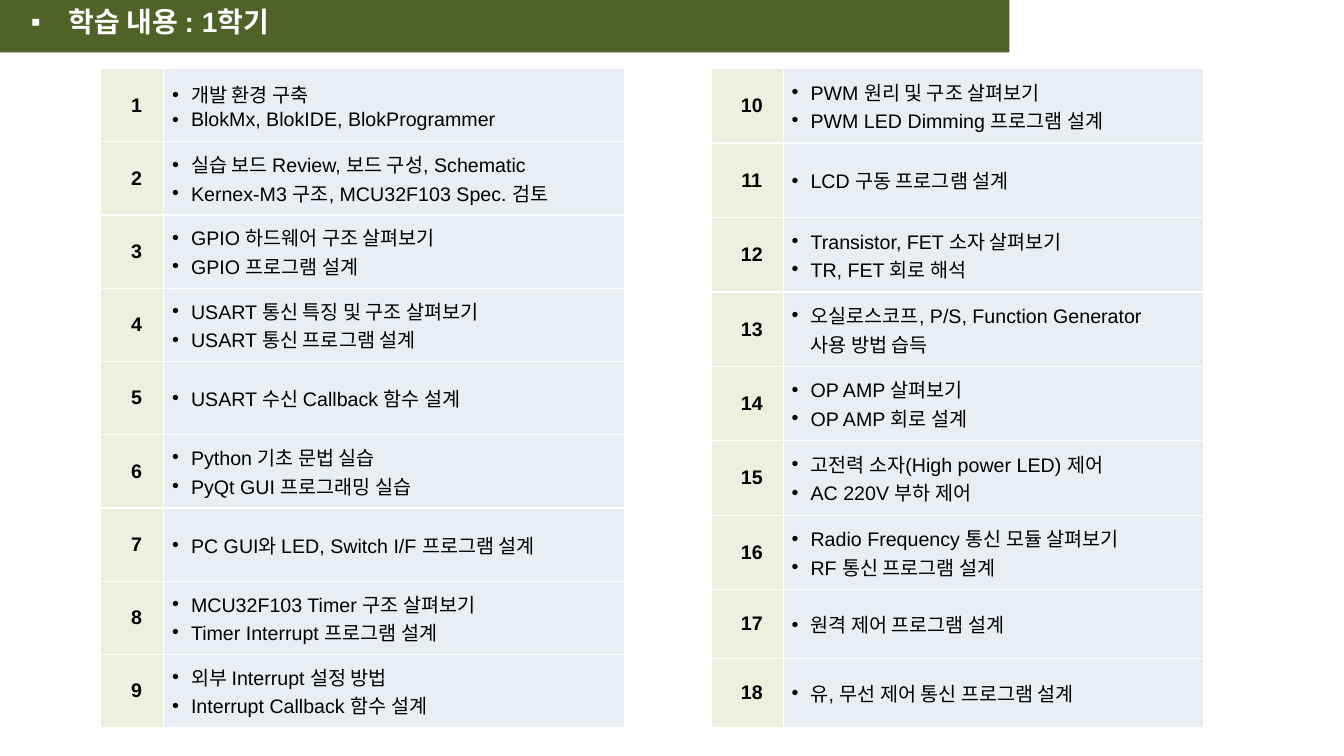
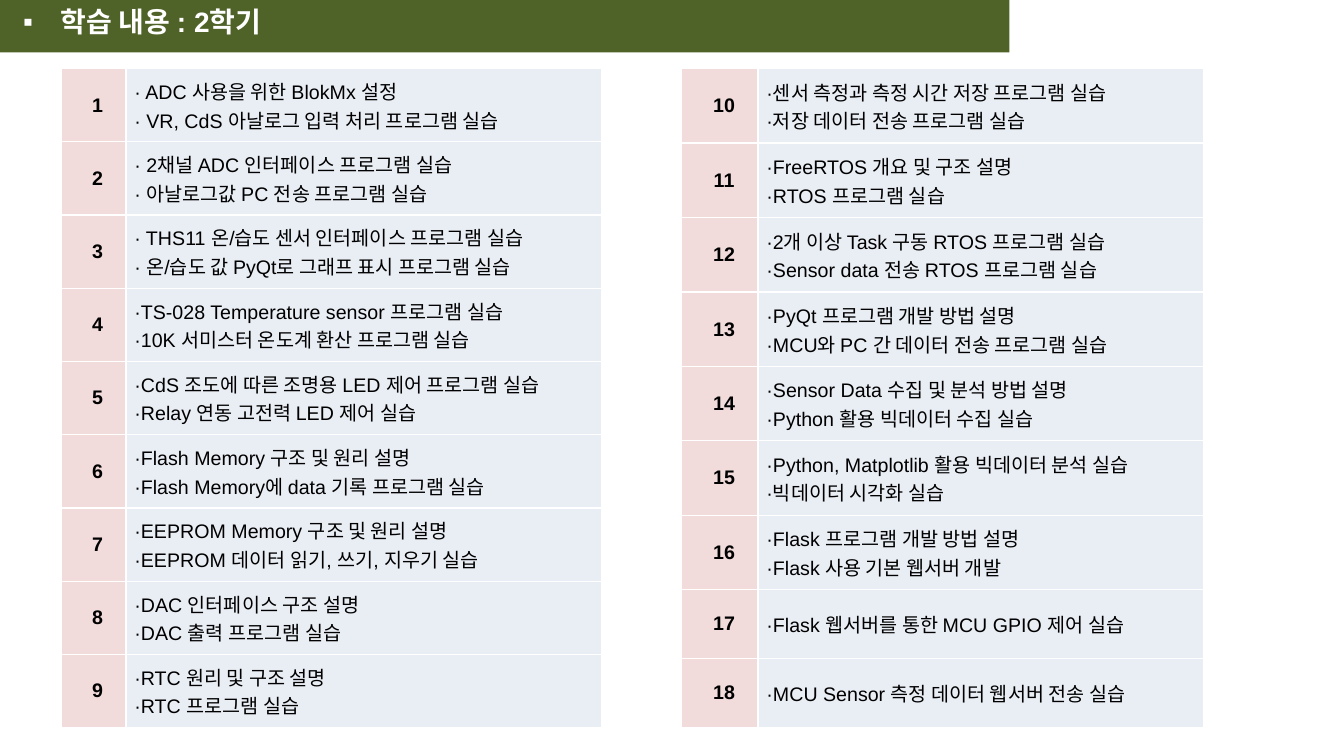
from lxml.etree import SubElement
from pptx import Presentation
from pptx.dml.color import RGBColor
from pptx.enum.shapes import MSO_SHAPE
from pptx.enum.text import MSO_ANCHOR, PP_ALIGN
from pptx.oxml.ns import qn
from pptx.util import Pt

WHITE = RGBColor(0xFF, 0xFF, 0xFF)
BLACK = RGBColor(0x00, 0x00, 0x00)
OLIVE = RGBColor(0x4F, 0x62, 0x28)
PALE_GREEN = RGBColor(0xEB, 0xF1, 0xDE)
PALE_RED = RGBColor(0xF2, 0xDC, 0xDB)
PALE_BLUE = RGBColor(0xE9, 0xED, 0xF4)
FONT = "Arial"

TABLE_TOP = 49
LEFT_ROWS = [52.3] * 9
RIGHT_ROWS = [53.2] * 7 + [49.2] * 2

# Weekly topics: one tuple per week, one string per paragraph
TERM_1 = [
    ("개발 환경 구축", "BlokMx, BlokIDE, BlokProgrammer"),
    ("실습 보드 Review, 보드 구성, Schematic", "Kernex-M3 구조, MCU32F103 Spec. 검토"),
    ("GPIO 하드웨어 구조 살펴보기", "GPIO 프로그램 설계"),
    ("USART 통신 특징 및 구조 살펴보기", "USART 통신 프로그램 설계"),
    ("USART 수신 Callback 함수 설계",),
    ("Python 기초 문법 실습", "PyQt GUI 프로그래밍 실습"),
    ("PC GUI와 LED, Switch I/F 프로그램 설계",),
    ("MCU32F103 Timer 구조 살펴보기", "Timer Interrupt 프로그램 설계"),
    ("외부 Interrupt 설정 방법", "Interrupt Callback 함수 설계"),
    ("PWM 원리 및 구조 살펴보기", "PWM LED Dimming 프로그램 설계"),
    ("LCD 구동 프로그램 설계",),
    ("Transistor, FET 소자 살펴보기", "TR, FET 회로 해석"),
    ("오실로스코프, P/S, Function Generator\n사용 방법 습득",),
    ("OP AMP 살펴보기", "OP AMP 회로 설계"),
    ("고전력 소자(High power LED) 제어", "AC 220V 부하 제어"),
    ("Radio Frequency 통신 모듈 살펴보기", "RF 통신 프로그램 설계"),
    ("원격 제어 프로그램 설계",),
    ("유, 무선 제어 통신 프로그램 설계",),
]
TERM_2 = [
    ("· ADC 사용을 위한 BlokMx 설정", "· VR, CdS 아날로그 입력 처리 프로그램 실습"),
    ("· 2채널 ADC 인터페이스 프로그램 실습", "· 아날로그값 PC 전송 프로그램 실습"),
    ("· THS11 온/습도 센서 인터페이스 프로그램 실습",
     "· 온/습도 값 PyQt로 그래프 표시 프로그램 실습"),
    ("·TS-028 Temperature sensor 프로그램 실습", "·10K 서미스터 온도계 환산 프로그램 실습"),
    ("·CdS 조도에 따른 조명용 LED 제어 프로그램 실습", "·Relay 연동 고전력 LED 제어 실습"),
    ("·Flash Memory 구조 및 원리 설명", "·Flash Memory에 data 기록 프로그램 실습"),
    ("·EEPROM Memory 구조 및 원리 설명", "·EEPROM 데이터 읽기, 쓰기, 지우기 실습"),
    ("·DAC 인터페이스 구조 설명", "·DAC 출력 프로그램 실습"),
    ("·RTC 원리 및 구조 설명", "·RTC 프로그램 실습"),
    ("·센서 측정과 측정 시간 저장 프로그램 실습", "·저장 데이터 전송 프로그램 실습"),
    ("·FreeRTOS 개요 및 구조 설명", "·RTOS 프로그램 실습"),
    ("·2개 이상 Task 구동 RTOS 프로그램 실습", "·Sensor data 전송 RTOS 프로그램 실습"),
    ("·PyQt 프로그램 개발 방법 설명", "·MCU와 PC 간 데이터 전송 프로그램 실습"),
    ("·Sensor Data 수집 및 분석 방법 설명", "·Python 활용 빅데이터 수집 실습"),
    ("·Python, Matplotlib 활용 빅데이터 분석 실습", "·빅데이터 시각화 실습"),
    ("·Flask 프로그램 개발 방법 설명", "·Flask 사용 기본 웹서버 개발"),
    ("·Flask 웹서버를 통한 MCU GPIO 제어 실습",),
    ("·MCU Sensor 측정 데이터 웹서버 전송 실습",),
]


def write(tf, paragraphs, size=14, color=BLACK, bold=False,
          align=PP_ALIGN.LEFT, bullet=None, indent=0):
    """Fill a text frame; a newline inside a paragraph is a line break."""
    for i, text in enumerate(paragraphs):
        p = tf.paragraphs[0] if i == 0 else tf.add_paragraph()
        p.alignment = align
        if bullet:
            pPr = p._p.get_or_add_pPr()
            pPr.set("marL", str(Pt(indent)))
            pPr.set("indent", str(-Pt(indent)))
            SubElement(pPr, qn("a:buFont"), typeface=FONT)
            SubElement(pPr, qn("a:buChar"), char=bullet)
        for j, line in enumerate(text.split("\n")):
            if j:
                p.add_line_break()
                SubElement(p._p[-1], qn("a:rPr"), sz=str(size * 100))
            r = p.add_run()
            r.text = line
            r.font.name = FONT
            r.font.size = Pt(size)
            r.font.bold = bold
            r.font.color.rgb = color


def add_title(s, text, left):
    # Title band
    band = s.shapes.add_shape(MSO_SHAPE.RECTANGLE, Pt(-2), Pt(-2), Pt(723), Pt(39.5))
    band.shadow.inherit = False
    band.fill.solid()
    band.fill.fore_color.rgb = OLIVE
    band.line.fill.background()
    # Title text
    tf = s.shapes.add_textbox(Pt(left), 0, Pt(208), Pt(31.5)).text_frame
    tf.word_wrap = True
    write(tf, [text], size=20, color=WHITE, bold=True, bullet="▪", indent=27)


def style_cell(cell, fill):
    cell.margin_left = Pt(6)
    cell.margin_top = cell.margin_right = cell.margin_bottom = 0
    cell.vertical_anchor = MSO_ANCHOR.MIDDLE
    tcPr = cell._tc.get_or_add_tcPr()
    for side in ("lnL", "lnR", "lnT", "lnB"):
        ln = SubElement(tcPr, qn(f"a:{side}"), w=str(Pt(1)))
        SubElement(SubElement(ln, qn("a:solidFill")), qn("a:srgbClr"), val=str(WHITE))
    cell.fill.solid()
    cell.fill.fore_color.rgb = fill


def add_week_table(s, left, widths, heights, first_week, topics, week_fill, bullet):
    table = s.shapes.add_table(len(topics), 2, Pt(left), Pt(TABLE_TOP),
                               Pt(sum(widths)), Pt(sum(heights))).table
    table.first_row = table.horz_banding = False
    for column, width in zip(table.columns, widths):
        column.width = Pt(width)
    for i, (height, lines) in enumerate(zip(heights, topics)):
        table.rows[i].height = Pt(height)
        week, topic = table.cell(i, 0), table.cell(i, 1)
        style_cell(week, week_fill)
        write(week.text_frame, [str(first_week + i)], bold=True, align=PP_ALIGN.CENTER)
        style_cell(topic, PALE_BLUE)
        write(topic.text_frame, lines, bullet=bullet, indent=13.5)


def add_term_slide(prs, title, title_left, topics, left_box, right_box, week_fill, bullet=None):
    s = prs.slides.add_slide(prs.slide_layouts[6])
    add_title(s, title, title_left)
    half = len(LEFT_ROWS)
    add_week_table(s, *left_box, LEFT_ROWS, 1, topics[:half], week_fill, bullet)
    add_week_table(s, *right_box, RIGHT_ROWS, half + 1, topics[half:], week_fill, bullet)


def main():
    prs = Presentation()
    prs.slide_width, prs.slide_height = Pt(960), Pt(540)
    # Each box: left edge, then the two column widths
    add_term_slide(prs, "학습 내용 : 1학기", 15, TERM_1,
                   (72, (45, 329)), (508.5, (51, 300)), PALE_GREEN, bullet="•")
    add_term_slide(prs, "학습 내용 : 2학기", 9.5, TERM_2,
                   (43.5, (46.5, 340)), (487, (54.5, 318)), PALE_RED)
    prs.save("out.pptx")


if __name__ == "__main__":
    main()
